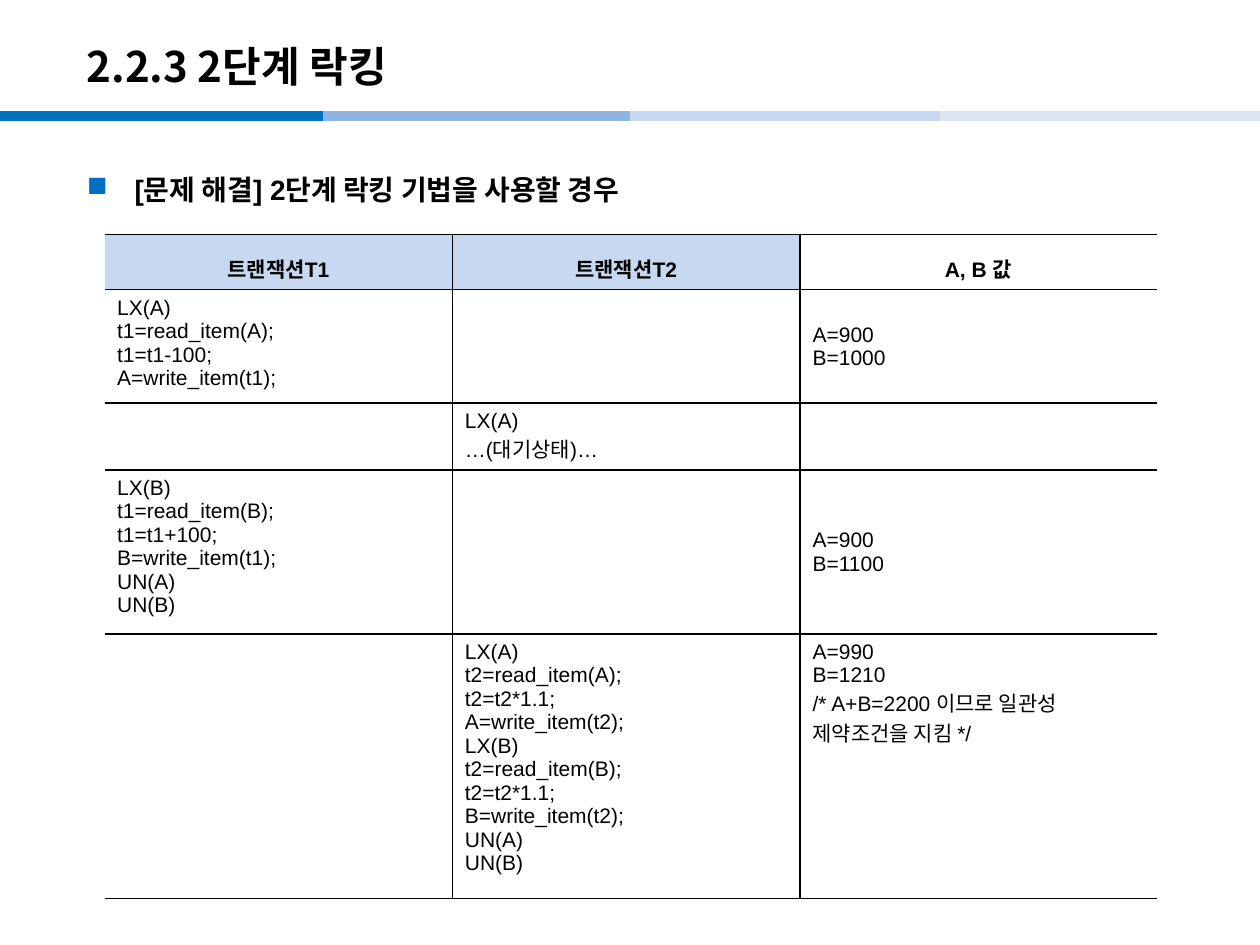
import pptx
import pptx.util
import pptx.dml.color
import pptx.enum.shapes
import pptx.enum.text
import pptx.oxml
import pptx.oxml.ns
from lxml import etree

Inches = pptx.util.Inches
Pt = pptx.util.Pt
Align = pptx.enum.text.PP_ALIGN
Anchor = pptx.enum.text.MSO_ANCHOR
qn = pptx.oxml.ns.qn
NOSTYLE = "{2D5ABB26-0587-4C30-8999-92F81FD0307C}"
BLACK = "000000"
HANGUL = "Noto Sans CJK KR"


def color(code):
    return pptx.dml.color.RGBColor.from_string(code)


class Deck:
    """Holds the text style and the current slide."""

    def __init__(self, slide):
        self.slide = slide
        self.font = {"name": "Arial", "size": Pt(12), "bold": False}

    def line(self, left, top, width, code, weight):
        y = Inches(top)
        bar = self.slide.shapes.add_connector(
            pptx.enum.shapes.MSO_CONNECTOR.STRAIGHT,
            Inches(left), y, Inches(left + width), y)
        bar.line.color.rgb = color(code)
        bar.line.width = Pt(weight)
        etree.SubElement(bar._element.spPr, qn("a:effectLst"))

    def fill(self, frame, text, para=None, **font):
        frame.word_wrap = True
        for i, words in enumerate(text.split("\n")):
            item = frame.add_paragraph() if i else frame.paragraphs[0]
            run = item.add_run()
            run.text = words
            run.font.color.rgb = color(BLACK)
            for key, value in {**self.font, **font}.items():
                setattr(run.font, key, value)
            for key, value in (para or {}).items():
                setattr(item, key, value)
            east = etree.SubElement(run._r.get_or_add_rPr(), qn("a:ea"))
            east.set("typeface", HANGUL)

    def text(self, box, text, anchor, para=None, **font):
        frame = self.slide.shapes.add_textbox(*map(Inches, box)).text_frame
        frame.vertical_anchor = anchor
        self.fill(frame, text, para, **font)
        return frame.paragraphs[0]

    def bullet(self, item, mark, code, indent):
        props = item._p.get_or_add_pPr()
        props.set("marL", str(Inches(indent)))
        props.set("indent", str(-Inches(indent)))
        tint = etree.SubElement(props, qn("a:buClr"))
        etree.SubElement(tint, qn("a:srgbClr")).set("val", code)
        etree.SubElement(props, qn("a:buChar")).set("char", mark)

    def border(self, cell, sides):
        props = cell._tc.get_or_add_tcPr()
        for i, side in enumerate(sides):
            edge = etree.Element(qn("a:ln" + side))
            edge.set("w", str(Pt(1)))
            paint = etree.SubElement(edge, qn("a:solidFill"))
            etree.SubElement(paint, qn("a:srgbClr")).set("val", BLACK)
            props.insert(i, edge)

    def table(self, left, top, cols, rows, data):
        shape = self.slide.shapes.add_table(
            len(rows), len(cols), Inches(left), Inches(top),
            Inches(sum(cols)), Inches(sum(rows)))
        grid = shape.table
        grid.horz_banding = False
        grid._tbl.tblPr.find(qn("a:tableStyleId")).text = NOSTYLE
        for col, width in zip(grid.columns, cols):
            col.width = Inches(width)
        for row, height in zip(grid.rows, rows):
            row.height = Inches(height)
        last = len(cols) - 1
        for r, texts in enumerate(data):
            for c, text in enumerate(texts):
                cell = grid.cell(r, c)
                head = r == 0
                if head and c == last:
                    cell.fill.background()
                else:
                    cell.fill.solid()
                    cell.fill.fore_color.rgb = color("C6D9F1" if head else "FFFFFF")
                middle = head or (c == last and r < len(rows) - 1)
                cell.vertical_anchor = Anchor.MIDDLE if middle else Anchor.TOP
                para = {"alignment": Align.CENTER, "line_spacing": 1.4} if head else {}
                self.fill(cell.text_frame, text, para, bold=head)
                sides = ["L"] * (c > 0) + ["R"] * (c < last) + ["T", "B"]
                self.border(cell, sides)


def main():
    show = pptx.Presentation()
    show.slide_width, show.slide_height = Inches(10), Inches(7.5)
    deck = Deck(show.slides.add_slide(show.slide_layouts[6]))

    bars = {"0070C0": 0, "8EB4E3": 2.56, "C6D9F1": 5, "DCE6F2": 7.46}
    for code, left in bars.items():
        deck.line(left, 0.92, 2.56, code, 6)

    deck.text((0.59, 0.22, 8.27, 0.6), "2.2.3 2단계 락킹", Anchor.MIDDLE,
              name=HANGUL, size=Pt(24), bold=True)
    lead = deck.text((0.59, 1.19, 8.82, 5.98),
                     "[문제 해결] 2단계 락킹 기법을 사용할 경우", Anchor.TOP,
                     {"alignment": Align.JUSTIFY, "line_spacing": 1.5},
                     size=Pt(16), bold=True)
    deck.bullet(lead, "■", "0070C0", 0.38)

    def steps(name, var, change):
        return (f"LX({name})\n{var}=read_item({name});\n"
                f"{var}={var}{change};\n{name}=write_item({var});")

    free = "\nUN(A)\nUN(B)"
    data = [
        ("트랜잭션T1", "트랜잭션T2", "A, B 값"),
        (steps("A", "t1", "-100"), "", "A=900\nB=1000"),
        ("", "LX(A)\n…(대기상태)…", ""),
        (steps("B", "t1", "+100") + free, "", "A=900\nB=1100"),
        ("", steps("A", "t2", "*1.1") + "\n" + steps("B", "t2", "*1.1") + free,
         "A=990\nB=1210\n/* A+B=2200 이므로 일관성 제약조건을 지킴 */"),
    ]
    deck.table(0.83, 1.86, (2.76, 2.76, 2.83),
               (0.44, 0.85, 0.53, 1.22, 1.97), data)
    show.save("out.pptx")


if __name__ == "__main__":
    main()
